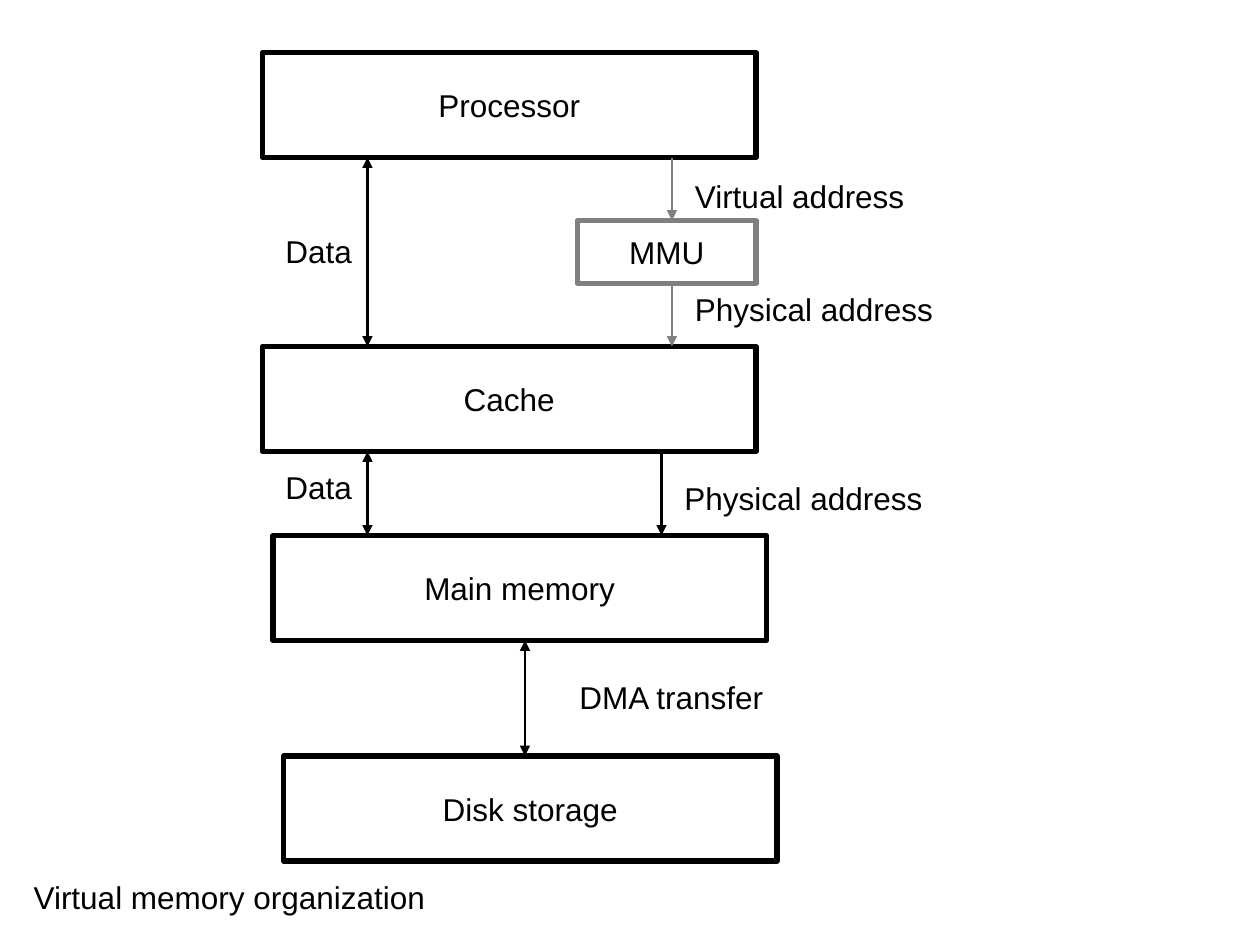
from dataclasses import dataclass

from lxml.etree import SubElement
from pptx import Presentation
from pptx.dml.color import RGBColor
from pptx.enum.shapes import MSO_CONNECTOR, MSO_SHAPE
from pptx.enum.text import MSO_ANCHOR, MSO_AUTO_SIZE, PP_ALIGN
from pptx.oxml.ns import qn
from pptx.util import Emu, Pt

EMU_PER_PX = 9525
COLORS = {"ink": "000000", "translation": "808080"}
LABEL_HEIGHT = 38


@dataclass(frozen=True)
class Unit:
    text: str
    left: int
    top: int
    width: int = 376
    height: int = 80
    color: str = "ink"

    @property
    def bottom(self) -> int:
        return self.top + self.height


@dataclass(frozen=True)
class Flow:
    x: int
    source: Unit
    target: Unit
    two_way: bool = False
    color: str = "ink"


@dataclass(frozen=True)
class Label:
    text: str
    left: int
    top: int
    width: int


def px(length: int) -> Emu:
    return Emu(length * EMU_PER_PX)


def rgb(name: str) -> RGBColor:
    return RGBColor.from_string(COLORS[name])


def write_text(frame, text, *, size=18, font="Arial", color="ink",
               align=PP_ALIGN.LEFT, anchor=MSO_ANCHOR.TOP,
               auto_size=MSO_AUTO_SIZE.NONE) -> None:
    frame.word_wrap = False
    frame.auto_size = auto_size
    frame.vertical_anchor = anchor
    paragraph = frame.paragraphs[0]
    paragraph.alignment = align
    run = paragraph.add_run()
    run.text = text
    run.font.size = Pt(size)
    run.font.name = font
    run.font.color.rgb = rgb(color)


def draw_unit(slide, unit: Unit) -> None:
    box = slide.shapes.add_shape(MSO_SHAPE.RECTANGLE, px(unit.left), px(unit.top),
                                 px(unit.width), px(unit.height))
    box.shadow.inherit = False
    box.fill.background()
    box.line.color.rgb = rgb(unit.color)
    box.line.width = Pt(3)
    write_text(box.text_frame, unit.text, align=PP_ALIGN.CENTER,
               anchor=MSO_ANCHOR.MIDDLE)


def draw_flow(slide, flow: Flow) -> None:
    arrow = slide.shapes.add_connector(MSO_CONNECTOR.STRAIGHT,
                                       px(flow.x), px(flow.source.bottom),
                                       px(flow.x), px(flow.target.top))
    arrow.line.color.rgb = rgb(flow.color)
    arrow.line.width = Pt(1.5)
    outline = arrow.line._get_or_add_ln()
    for end in ("a:headEnd", "a:tailEnd") if flow.two_way else ("a:tailEnd",):
        SubElement(outline, qn(end), type="triangle")
    SubElement(arrow._element.spPr, qn("a:effectLst"))


def draw_label(slide, label: Label) -> None:
    box = slide.shapes.add_textbox(px(label.left), px(label.top),
                                   px(label.width), px(LABEL_HEIGHT))
    write_text(box.text_frame, label.text, auto_size=MSO_AUTO_SIZE.SHAPE_TO_FIT_TEXT)


def draw_title(slide, label: Label) -> None:
    title = slide.shapes.title
    title.left, title.top = px(label.left), px(label.top)
    title.width, title.height = px(label.width), px(LABEL_HEIGHT)
    write_text(title.text_frame, label.text)


PROCESSOR = Unit("Processor", 200, 40)
CACHE = Unit("Cache", 200, 264)
MEMORY = Unit("Main memory", 208, 408)
DISK = Unit("Disk storage", 216, 576)
MMU = Unit("MMU", 440, 168, 136, 48, "translation")

UNITS = [PROCESSOR, CACHE, MEMORY, DISK, MMU]
FLOWS = [
    Flow(280, PROCESSOR, CACHE, two_way=True),
    Flow(512, PROCESSOR, MMU, color="translation"),
    Flow(512, MMU, CACHE, color="translation"),
    Flow(280, CACHE, MEMORY, two_way=True),
    Flow(504, CACHE, MEMORY),
    Flow(400, MEMORY, DISK, two_way=True),
]
LABELS = [
    Label("Data", 208, 172, 70),
    Label("Virtual address", 520, 130, 179),
    Label("Physical address", 520, 216, 201),
    Label("Data", 208, 352, 70),
    Label("Physical address", 512, 360, 201),
    Label("DMA transfer", 432, 512, 160),
]
TITLE = Label("Virtual memory organization", 16, 664, 318)


def main() -> None:
    deck = Presentation()
    deck.slide_width, deck.slide_height = px(960), px(720)
    slide = deck.slides.add_slide(deck.slide_layouts.get_by_name("Title Only"))
    for unit in UNITS:
        draw_unit(slide, unit)
    for flow in FLOWS:
        draw_flow(slide, flow)
    for label in LABELS:
        draw_label(slide, label)
    draw_title(slide, TITLE)
    deck.save("out.pptx")


if __name__ == "__main__":
    main()
